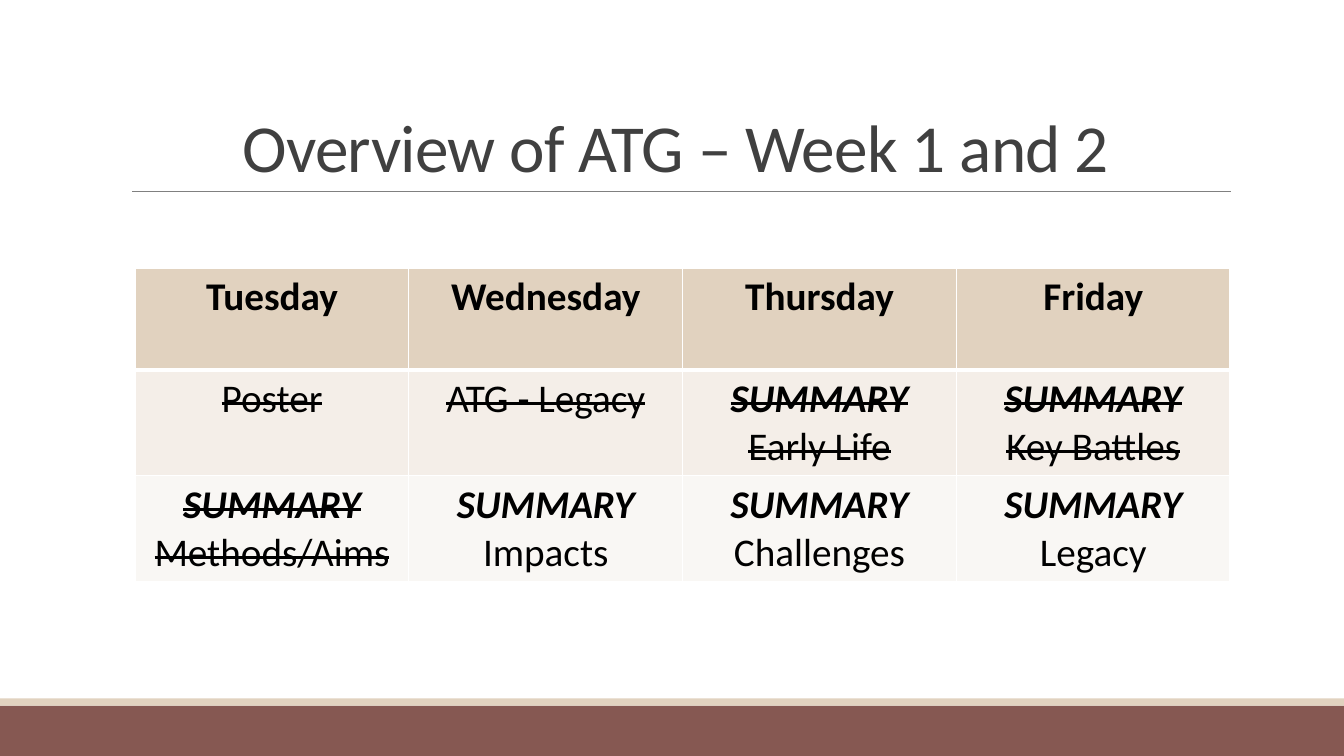
"""Builds the two-week ATG overview slide with its timetable."""
from lxml import etree
from pptx import Presentation
from pptx.dml.color import RGBColor
from pptx.enum.shapes import MSO_CONNECTOR, MSO_SHAPE
from pptx.enum.text import MSO_ANCHOR, MSO_AUTO_SIZE, PP_ALIGN
from pptx.oxml.ns import qn
from pptx.util import Inches, Pt

WHITE = RGBColor(0xFF, 0xFF, 0xFF)
BLACK = RGBColor(0x00, 0x00, 0x00)
CHARCOAL = RGBColor(0x40, 0x40, 0x40)
GREY = RGBColor(0x80, 0x80, 0x80)
MAROON = RGBColor(0x86, 0x58, 0x52)
SAND = RGBColor(0xE1, 0xD2, 0xBF)
CREAM = RGBColor(0xF4, 0xEE, 0xE8)
IVORY = RGBColor(0xF9, 0xF7, 0xF4)

FONT = "Calibri"
SUMMARY = "SUMMARY"
DAYS = ["Tuesday", "Wednesday", "Thursday", "Friday"]
WEEKS = [
    [(["Poster"], True), (["ATG - Legacy"], True),
     ([SUMMARY, "Early Life"], True), ([SUMMARY, "Key Battles"], True)],
    [([SUMMARY, "Methods/Aims"], True), ([SUMMARY, "Impacts"], False),
     ([SUMMARY, "Challenges"], False), ([SUMMARY, "Legacy"], False)],
]


def add_band(slide, top, height, color):
    band = slide.shapes.add_shape(
        MSO_SHAPE.RECTANGLE, Inches(0), Inches(top), Inches(13.33), Inches(height))
    band.shadow.inherit = False
    band.fill.solid()
    band.fill.fore_color.rgb = color
    band.line.fill.background()


def add_rule(slide, left, right, top):
    rule = slide.shapes.add_connector(
        MSO_CONNECTOR.STRAIGHT, Inches(left), Inches(top), Inches(right), Inches(top))
    rule.line.color.rgb = GREY
    rule.line.width = Pt(0.5)
    etree.SubElement(rule._element.spPr, qn("a:effectLst"))


def add_run(paragraph, text, size, color, bold=False, italic=False):
    paragraph.alignment = PP_ALIGN.CENTER
    run = paragraph.add_run()
    run.text = text
    run.font.name = FONT
    run.font.size = Pt(size)
    run.font.color.rgb = color
    run.font.bold = bold
    run.font.italic = italic
    return run


def set_title(slide, text):
    title = slide.shapes.title
    title.left, title.top = Inches(1.2), Inches(0.31)
    title.width, title.height = Inches(11), Inches(1.59)
    frame = title.text_frame
    frame.word_wrap = True
    frame.auto_size = MSO_AUTO_SIZE.NONE
    frame.vertical_anchor = MSO_ANCHOR.BOTTOM
    heading = frame.paragraphs[0]
    heading.line_spacing = 0.85
    run = add_run(heading, text, 48, CHARCOAL)
    run._r.get_or_add_rPr().set("spc", "-50")


def set_borders(cell, top, bottom):
    properties = cell._tc.get_or_add_tcPr()
    for side, width in (("lnL", 1), ("lnR", 1), ("lnT", top), ("lnB", bottom)):
        border = etree.SubElement(properties, qn(f"a:{side}"), w=str(Pt(width)))
        fill = etree.SubElement(border, qn("a:solidFill"))
        etree.SubElement(fill, qn("a:srgbClr"), val=str(WHITE))


def fill_cell(cell, lines, color, header=False, done=False, top=1):
    set_borders(cell, top, 3 if header else 1)
    cell.fill.solid()
    cell.fill.fore_color.rgb = color
    frame = cell.text_frame
    for index, line in enumerate(lines):
        paragraph = frame.add_paragraph() if index else frame.paragraphs[0]
        summary = line == SUMMARY
        run = add_run(paragraph, line, 28, BLACK, header or summary, summary)
        if done:
            run._r.get_or_add_rPr().set("strike", "sngStrike")


def add_timetable(slide):
    timetable = slide.shapes.add_table(
        len(WEEKS) + 1, len(DAYS),
        Inches(1.34), Inches(2.66), Inches(10.86), Inches(3.03)).table
    for column, day in enumerate(DAYS):
        fill_cell(timetable.cell(0, column), [day], SAND, header=True)
    for row, (week, color, top) in enumerate(zip(WEEKS, (CREAM, IVORY), (3, 1)), 1):
        for column, (lines, done) in enumerate(week):
            fill_cell(timetable.cell(row, column), lines, color, done=done, top=top)


def main():
    presentation = Presentation()
    presentation.slide_width = Inches(13.33)
    presentation.slide_height = Inches(7.5)
    slide = presentation.slides.add_slide(presentation.slide_layouts[5])
    add_band(slide, 7, 0.5, MAROON)
    add_band(slide, 6.93, 0.07, SAND)
    add_rule(slide, 1.31, 12.21, 1.9)
    set_title(slide, "Overview of ATG – Week 1 and 2")
    add_timetable(slide)
    presentation.save("out.pptx")


if __name__ == "__main__":
    main()
